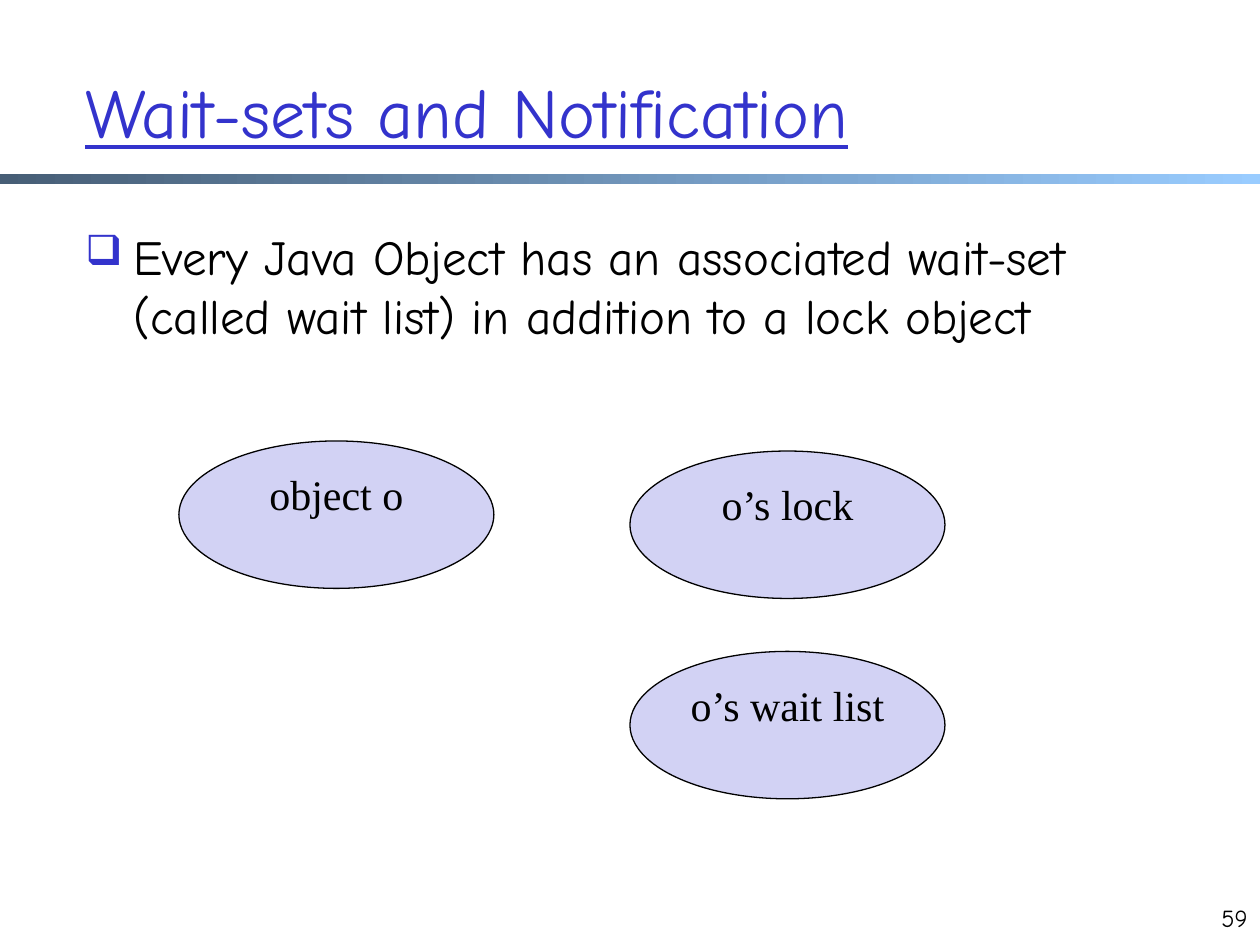
from lxml.etree import SubElement
from pptx import Presentation
from pptx.dml.color import RGBColor
from pptx.enum.shapes import MSO_SHAPE
from pptx.enum.text import MSO_ANCHOR, PP_ALIGN
from pptx.oxml.ns import qn
from pptx.util import Inches, Pt

COLORS = {
    "title": "3333CC",
    "text": "000000",
    "oval": "D2D2F4",
    "bar_start": "475E76",
    "bar_end": "99CCFF",
}
HEAD_FONT = "Comic Neue"
OVAL_FONT = "Times New Roman"


def color(name):
    return RGBColor.from_string(COLORS[name])


def add_run(p, text, size, font, color_name="text"):
    r = p.add_run()
    r.text = text
    r.font.size = Pt(size)
    r.font.name = font
    r.font.color.rgb = color(color_name)
    return r


def add_box(s, left, top, width, height):
    tf = s.shapes.add_textbox(
        Inches(left), Inches(top), Inches(width), Inches(height)
    ).text_frame
    tf.word_wrap = True
    return tf


def add_shape(s, kind, left, top, width, height):
    sp = s.shapes.add_shape(
        kind, Inches(left), Inches(top), Inches(width), Inches(height)
    )
    sp.shadow.inherit = False
    return sp


def add_bar(s):
    sp = add_shape(s, MSO_SHAPE.RECTANGLE, 0, 1.38, 10, 0.08)
    sp.line.fill.background()
    sp.fill.gradient()
    sp.fill.gradient_angle = 0
    for stop, name in zip(sp.fill.gradient_stops, ("bar_start", "bar_end")):
        stop.color.rgb = color(name)


def add_title(s, text):
    tf = add_box(s, 0.58, 0.25, 8.5, 1.25)
    tf.vertical_anchor = MSO_ANCHOR.MIDDLE
    r = add_run(tf.paragraphs[0], text, 40, HEAD_FONT, "title")
    r.font.underline = True


def add_bullet(p):
    pPr = p._p.get_or_add_pPr()
    pPr.set("marL", str(Inches(0.38)))
    pPr.set("indent", str(-Inches(0.38)))
    clr = SubElement(pPr, qn("a:buClr"))
    SubElement(clr, qn("a:srgbClr"), val=COLORS["title"])
    SubElement(pPr, qn("a:buSzPct"), val="85000")
    SubElement(pPr, qn("a:buChar"), char="❑")


def add_body(s, text):
    p = add_box(s, 0.58, 1.75, 8.5, 5.08).paragraphs[0]
    add_bullet(p)
    add_run(p, text, 28, HEAD_FONT)


def add_slide_number(s, text):
    p = add_box(s, 9.5, 7.12, 0.5, 0.5).paragraphs[0]
    p.alignment = PP_ALIGN.RIGHT
    add_run(p, text, 14, HEAD_FONT)


def add_oval(s, text, left, top):
    sp = add_shape(s, MSO_SHAPE.OVAL, left, top, 2.5, 1.17)
    sp.fill.solid()
    sp.fill.fore_color.rgb = color("oval")
    sp.line.color.rgb = color("text")
    sp.line.width = Pt(0.75)
    tf = sp.text_frame
    tf.word_wrap = False
    tf.vertical_anchor = MSO_ANCHOR.TOP
    p = tf.paragraphs[0]
    p.alignment = PP_ALIGN.CENTER
    add_run(p, text, 24, OVAL_FONT)


def main():
    prs = Presentation()
    prs.slide_width = Inches(10)
    prs.slide_height = Inches(7.5)
    s = prs.slides.add_slide(prs.slide_layouts[6])
    add_bar(s)
    add_title(s, "Wait-sets and Notification")
    add_body(
        s,
        "Every Java Object has an associated wait-set "
        "(called wait list) in addition to a lock object",
    )
    add_slide_number(s, "59")
    for text, left, top in (
        ("object o", 1.42, 3.5),
        ("o’s lock", 5, 3.58),
        ("o’s wait list", 5, 5.17),
    ):
        add_oval(s, text, left, top)
    prs.save("out.pptx")


if __name__ == "__main__":
    main()
